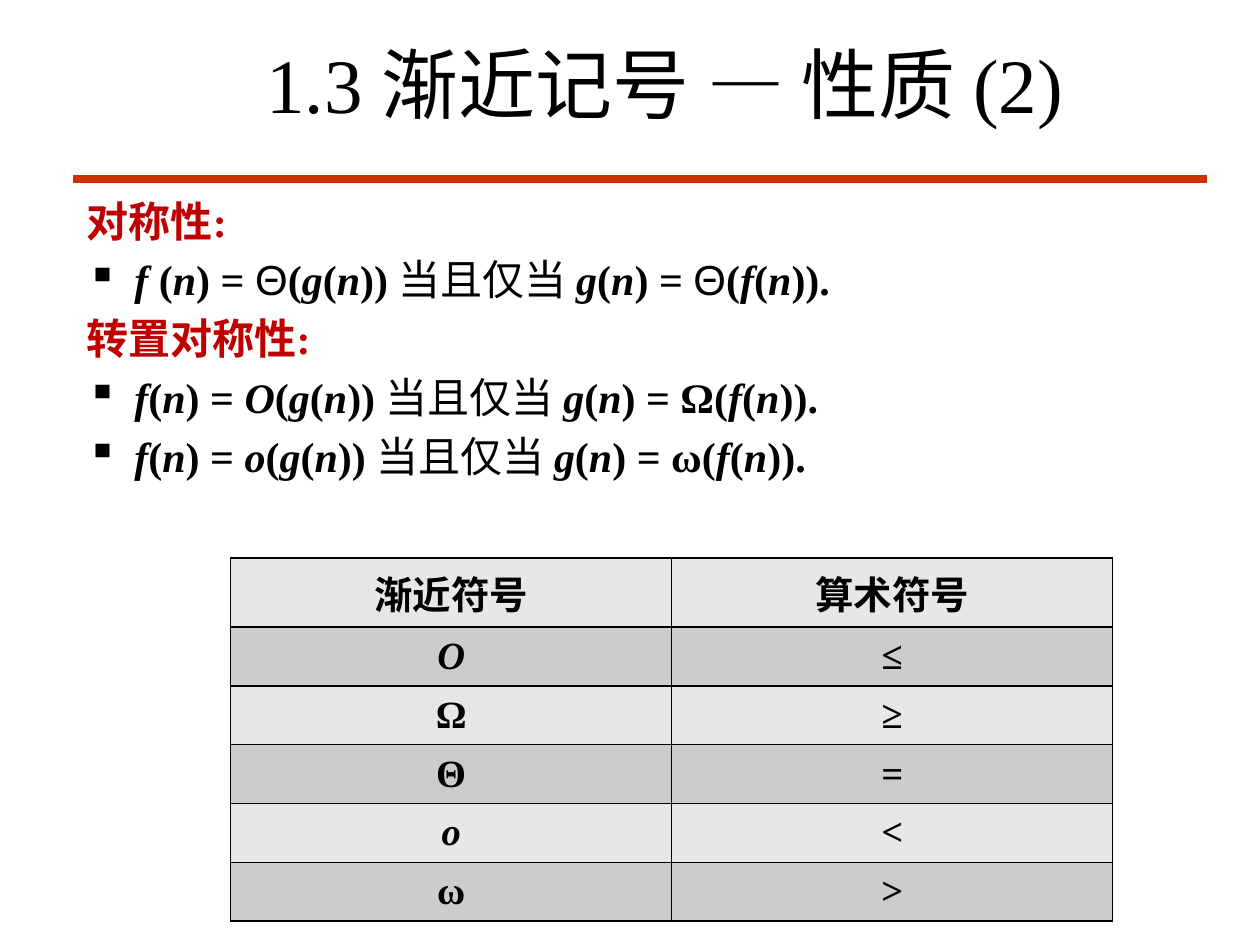
from itertools import groupby

from lxml.etree import SubElement
from pptx import Presentation
from pptx.dml.color import RGBColor
from pptx.enum.shapes import MSO_CONNECTOR as Connector
from pptx.enum.text import MSO_ANCHOR as Anchor, PP_ALIGN as Align
from pptx.oxml import parse_xml
from pptx.oxml.ns import nsdecls, qn
from pptx.util import Cm, Pt

BLACK, RED, RULE = "000000", "C00000", "CC3300"
BANDS = ("E7E7E7", "CCCCCC")
SERIF, SANS = "Times New Roman", "Arial"

TITLE = "1.3 渐近记号 — 性质 (2)"
PROPERTIES = [
    ("对称性:", ["f (n) = Θ(g(n)) 当且仅当 g(n) = Θ(f(n))."]),
    ("转置对称性:", [
        "f(n) = O(g(n)) 当且仅当 g(n) = Ω(f(n)).",
        "f(n) = o(g(n)) 当且仅当 g(n) = ω(f(n)).",
    ]),
]
SYMBOLS = [("渐近符号", "算术符号"), ("O", "≤"), ("Ω", "≥"), ("Θ", "="), ("o", "<"), ("ω", ">")]


def paint(target, color):
    """Give a font, line or fill a solid colour from a hex string."""
    if hasattr(target, "solid"):
        target.solid()
        target = target.fore_color
    else:
        target = target.color
    target.rgb = RGBColor.from_string(color)


def add_span(para, text, size, color=BLACK, bold=True, italic=False, font=SERIF):
    """Append one styled run to a paragraph."""
    span = para.add_run()
    span.text = text
    span.font.size, span.font.name = Pt(size), font
    span.font.bold, span.font.italic = bold, italic
    paint(span.font, color)


def formula_style(char):
    """Return bold, italic and font for one character of a formula."""
    if char == "Θ":
        return False, False, SANS
    return char not in "当且仅", char.isascii() and char.isalpha(), SERIF


def add_formula(para, formula):
    """Write a bulleted formula, one run for each stretch of equal style."""
    props = para._p.get_or_add_pPr()
    props.set("marL", str(Cm(0.96)))
    props.set("indent", str(-Cm(0.96)))
    SubElement(props, qn("a:buChar")).set("char", "▪")
    for (bold, italic, font), chars in groupby(formula, formula_style):
        add_span(para, "".join(chars), 24, BLACK, bold, italic, font)


def add_text_box(page, left, top, width, height, anchor):
    """Add a wrapping text box and return its text frame."""
    frame = page.shapes.add_textbox(left, top, width, height).text_frame
    frame.word_wrap = True
    frame.vertical_anchor = anchor
    return frame


def add_title(page, left, top, width, height):
    """Place the centred heading and the rule beneath it."""
    frame = add_text_box(page, left, top, width, height, Anchor.MIDDLE)
    para = frame.paragraphs[0]
    para.alignment = Align.CENTER
    add_span(para, TITLE, 44, bold=False)
    start, level = left + Cm(0.07), top + Cm(3.18)
    rule = page.shapes.add_connector(Connector.STRAIGHT, start, level, start + Cm(22.86), level)
    paint(rule.line, RULE)
    rule.line.width = Pt(4.5)
    SubElement(rule._element.spPr, qn("a:effectLst"))


def add_properties(page, left, top, width, height):
    """Place the named properties with their formulas."""
    frame = add_text_box(page, left, top, width, height, Anchor.TOP)
    para = frame.paragraphs[0]
    for index, (name, formulas) in enumerate(PROPERTIES):
        if index:
            para = frame.add_paragraph()
            para.space_before = Pt(4.8)
        add_span(para, name, 24, RED)
        for formula in formulas:
            para = frame.add_paragraph()
            para.space_before = Pt(4.8)
            add_formula(para, formula)


def add_borders(cell):
    """Draw a thin black line on each side of a cell."""
    props = cell._tc.get_or_add_tcPr()
    for index, side in enumerate(("lnL", "lnR", "lnT", "lnB")):
        props.insert(index, parse_xml(
            f'<a:{side} {nsdecls("a")} w="{Pt(1)}"><a:solidFill>'
            f'<a:srgbClr val="{BLACK}"/></a:solidFill></a:{side}>'))


def add_symbol_table(page, left, top, width, header_height, row_height):
    """Place the table that pairs asymptotic and arithmetic symbols."""
    height = header_height + row_height * (len(SYMBOLS) - 1)
    table = page.shapes.add_table(len(SYMBOLS), 2, left, top, width, height).table
    for number, pair in enumerate(SYMBOLS):
        table.rows[number].height = row_height if number else header_height
        for column, text in enumerate(pair):
            cell = table.cell(number, column)
            cell.vertical_anchor = Anchor.MIDDLE
            paint(cell.fill, BANDS[number % 2])
            add_borders(cell)
            para = cell.text_frame.paragraphs[0]
            para.alignment = Align.CENTER
            add_span(para, text, 22, italic=text in ("O", "o"))


def main():
    """Build and save the deck."""
    deck = Presentation()
    deck.slide_width, deck.slide_height = Cm(25.4), Cm(19.05)
    page = deck.slides.add_slide(deck.slide_layouts[6])
    add_title(page, Cm(1.4), Cm(0.43), Cm(24), Cm(2.49))
    add_properties(page, Cm(1.5), Cm(3.81), Cm(23.29), Cm(6.99))
    add_symbol_table(page, Cm(4.65), Cm(11.25), Cm(17.78), Cm(1.39), Cm(1.12))
    deck.save("out.pptx")


if __name__ == "__main__":
    main()
